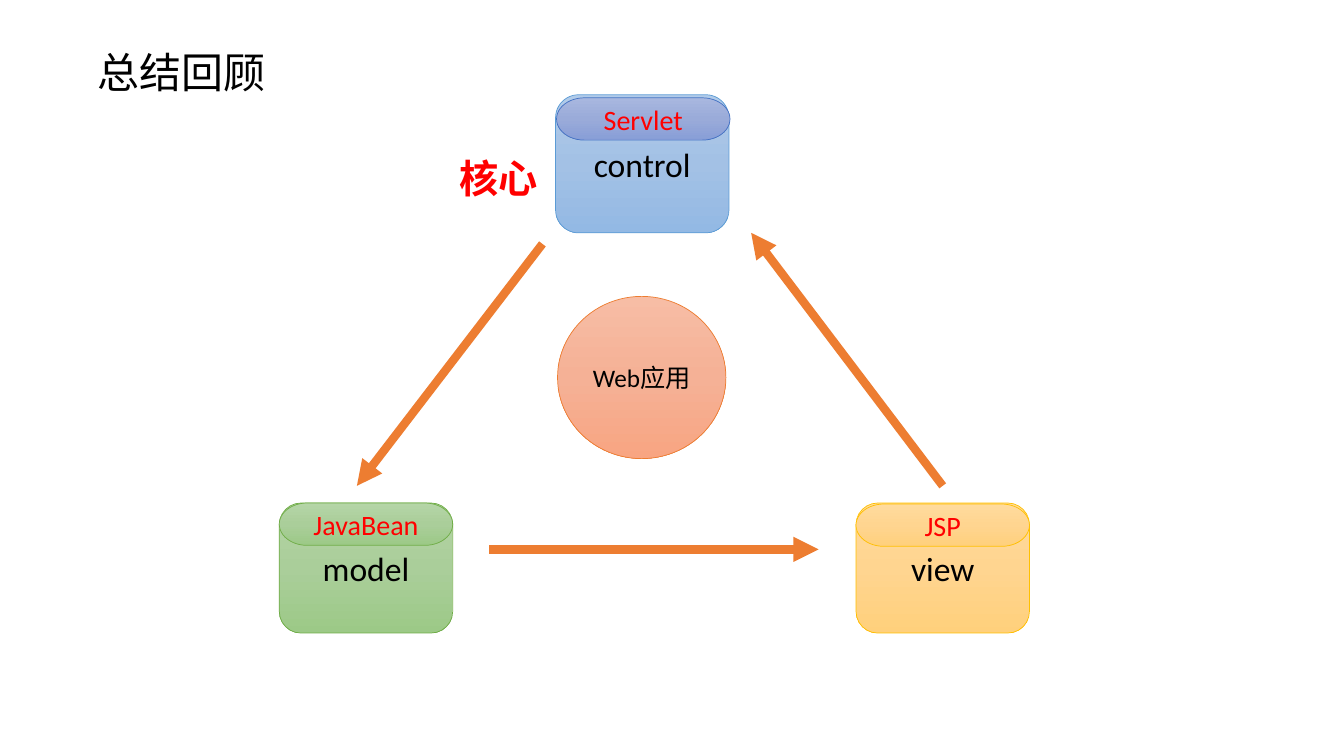
from copy import deepcopy
from pptx import Presentation
from pptx.dml.color import RGBColor
from pptx.enum.shapes import MSO_CONNECTOR, MSO_SHAPE as Geo
from pptx.enum.text import MSO_ANCHOR as Anchor, MSO_AUTO_SIZE as Fit, PP_ALIGN as Align
from pptx.oxml.ns import qn
from pptx.util import Inches, Pt
from lxml import etree

CJK = "Noto Sans CJK SC"


def hue(code):
    return RGBColor.from_string(code)


def write(shape, text, size, color, face="Calibri", align=Align.CENTER):
    frame = shape.text_frame
    frame.text = text
    frame.word_wrap = True
    frame.auto_size = Fit.NONE
    frame.vertical_anchor = Anchor.MIDDLE
    para = frame.paragraphs[0]
    para.alignment = align
    para.font.size = Pt(size)
    para.font.name = face
    para.font.color.rgb = hue(color)
    # East Asian glyphs take their own typeface
    props = para.runs[0].font._element
    etree.SubElement(props, qn("a:ea"), typeface=CJK)
    return para


deck = Presentation()
deck.slide_width, deck.slide_height = Inches(13.33), Inches(7.5)
slide = deck.slides.add_slide(deck.slide_layouts[5])
shapes = slide.shapes

# Title
title = shapes.title
title.left, title.top = Inches(0.35), Inches(0.41)
title.width, title.height = Inches(2.9), Inches(0.61)
write(title, "总结回顾", 30, "000000", CJK)

# Gradients from top to bottom, then the outline
rose = ("F7BDA5", "F5B196", "F8A582", "ED7D31")
green = ("B5D5A7", "AACE9A", "9CC987", "70AD47")
gold = ("FFDB9E", "FFD590", "FFD07C", "FFC000")
blue = ("B1CBE9", "A3C1E5", "93B9E4", "5B9BD5")
navy = ("A8B7DF", "9AABD9", "889ED7", "4472C4")

# Centre circle, the three MVC boxes and their technology caps
box, cap = Geo.ROUNDED_RECTANGLE, Geo.FLOWCHART_TERMINATOR
nodes = [
    (Geo.FLOWCHART_CONNECTOR, 5.53, 2.94, 1.67, 1.61, rose, "Web应用", 18, "000000"),
    (box, 2.77, 4.99, 1.72, 1.29, green, "model", 24, "000000"),
    (box, 8.49, 4.99, 1.72, 1.29, gold, "view", 24, "000000"),
    (box, 5.51, 0.94, 1.72, 1.37, blue, "control", 24, "000000"),
    (cap, 2.77, 4.99, 1.72, 0.42, green, "JavaBean", 20, "FF0000"),
    (cap, 5.52, 0.97, 1.72, 0.42, navy, "Servlet", 20, "FF0000"),
    (cap, 8.49, 5, 1.72, 0.42, gold, "JSP", 20, "FF0000"),
]
for geo, x, y, w, h, tones, text, size, color in nodes:
    node = shapes.add_shape(geo, Inches(x), Inches(y), Inches(w), Inches(h))
    node.shadow.inherit = False
    node.fill.gradient()
    node.fill.gradient_angle = 270
    stops = node._element.spPr.find(".//" + qn("a:gsLst"))
    stops.insert(1, deepcopy(stops[0]))
    for stop, tone, place in zip(node.fill.gradient_stops, tones, (0, 0.5, 1)):
        stop.color.rgb = hue(tone)
        stop.position = place
    node.line.color.rgb = hue(tones[3])
    node.line.width = Pt(0.5)
    write(node, text, size, color)

# Core label beside the controller
label = shapes.add_textbox(Inches(4.46), Inches(1.48), Inches(1.23), Inches(0.57))
write(label, "核心", 28, "FF0000", CJK, Align.LEFT).font.bold = True

# Arrows: view to control, control to model, model to view
for ends in [(9.35, 4.82, 7.45, 2.31), (5.38, 2.42, 3.54, 4.82), (4.85, 5.45, 8.12, 5.45)]:
    arrow = shapes.add_connector(MSO_CONNECTOR.STRAIGHT, *map(Inches, ends))
    arrow.line.color.rgb = hue("ED7D31")
    arrow.line.width = Pt(6)
    etree.SubElement(arrow.line._get_or_add_ln(), qn("a:tailEnd"), type="triangle")
    etree.SubElement(arrow._element.spPr, qn("a:effectLst"))

deck.save("out.pptx")
